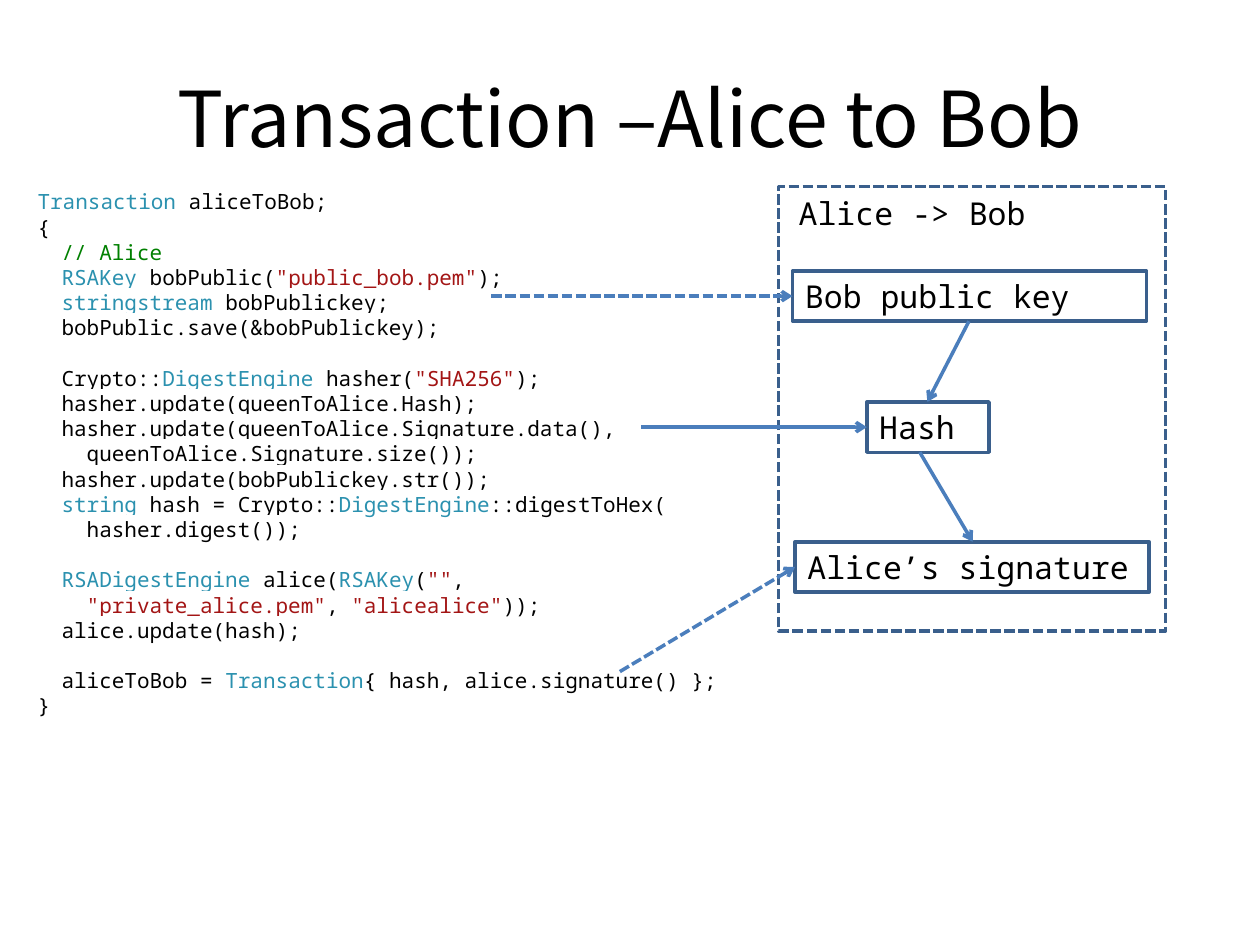
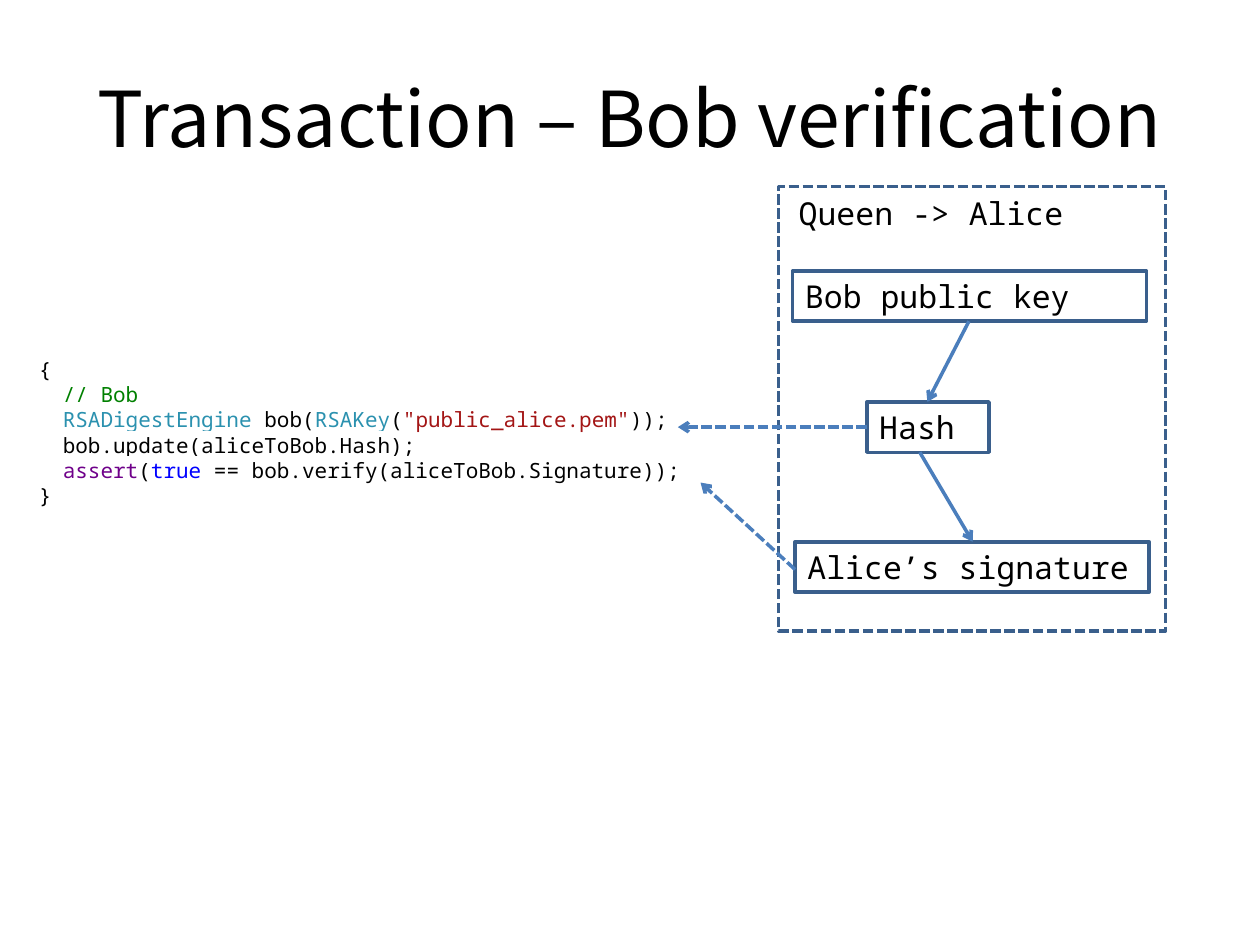
from dataclasses import dataclass

from lxml import etree
from pptx import Presentation
from pptx.dml.color import RGBColor
from pptx.enum.dml import MSO_LINE
from pptx.enum.shapes import MSO_CONNECTOR, MSO_SHAPE
from pptx.enum.text import MSO_ANCHOR, MSO_AUTO_SIZE, PP_ALIGN
from pptx.oxml.ns import qn
from pptx.shapes.base import BaseShape
from pptx.slide import Slide
from pptx.util import Inches, Pt

RECTANGLE = MSO_SHAPE.RECTANGLE
STRAIGHT = MSO_CONNECTOR.STRAIGHT
DASHED = MSO_LINE.SQUARE_DOT
GROW = MSO_AUTO_SIZE.SHAPE_TO_FIT_TEXT
MIDDLE = MSO_ANCHOR.MIDDLE
TOP = MSO_ANCHOR.TOP
CENTER = PP_ALIGN.CENTER
LEFT = PP_ALIGN.LEFT


@dataclass(frozen=True)
class Theme:
    text: str = "000000"
    type_name: str = "2B91AF"
    literal: str = "A31515"
    comment: str = "008000"
    macro: str = "6F008A"
    keyword: str = "0000FF"
    highlight: str = "FFFFFF"
    box_line: str = "3A5F8C"
    arrow: str = "4B7EBC"
    title_font: str = "Noto Sans CJK KR"
    code_font: str = "Noto Sans Mono"
    title_size: float = 44
    label_size: float = 18
    code_size: float = 12
    code_line: float = 14.4
    line_width: float = 2
    indents: tuple[float, ...] = (0, 0.19, 0.39)


THEME = Theme()


@dataclass(frozen=True)
class Token:
    text: str
    color: str = THEME.text


@dataclass(frozen=True)
class CodeLine:
    level: int
    tokens: tuple[Token, ...]
    gap_before: bool = False


@dataclass(frozen=True)
class Box:
    left: float
    top: float
    width: float
    height: float


@dataclass(frozen=True)
class Node:
    box: Box
    label: str


@dataclass(frozen=True)
class Arrow:
    start: tuple[float, float]
    end: tuple[float, float]
    dashed: bool = False


@dataclass(frozen=True)
class Page:
    title: str
    block_label: str
    code_box: Box
    code: tuple[CodeLine, ...]
    arrows: tuple[Arrow, ...]


def plain(text: str) -> Token:
    return Token(text)


def type_name(text: str) -> Token:
    return Token(text, THEME.type_name)


def literal(text: str) -> Token:
    return Token(text, THEME.literal)


def line(level: int, *tokens: Token, gap: bool = False) -> CodeLine:
    return CodeLine(level, tokens, gap)


def place(box: Box) -> tuple[Inches, Inches, Inches, Inches]:
    return Inches(box.left), Inches(box.top), Inches(box.width), Inches(box.height)


def add_run(paragraph, token: Token, font: str, size: float, highlight: str = "") -> None:
    run = paragraph.add_run()
    run.text = token.text
    run.font.size = Pt(size)
    run.font.color.rgb = RGBColor.from_string(token.color)
    run.font.name = font
    properties = run.font._element if hasattr(run.font, "_element") else run._r.get_or_add_rPr()
    latin = properties.find(qn("a:latin"))
    east_asian = etree.Element(qn("a:ea"), typeface=font)
    latin.addnext(east_asian)
    if highlight:
        marker = etree.Element(qn("a:highlight"))
        etree.SubElement(marker, qn("a:srgbClr"), val=highlight)
        latin.addprevious(marker)


def write_label(shape: BaseShape, text: str) -> None:
    frame = shape.text_frame
    frame.word_wrap = True
    frame.auto_size = GROW
    frame.vertical_anchor = TOP
    paragraph = frame.paragraphs[0]
    paragraph.alignment = LEFT
    add_run(paragraph, plain(text), THEME.code_font, THEME.label_size)


def add_title(slide: Slide, text: str) -> None:
    frame = slide.shapes.add_textbox(*place(TITLE_BOX)).text_frame
    frame.word_wrap = True
    frame.vertical_anchor = MIDDLE
    paragraph = frame.paragraphs[0]
    paragraph.alignment = CENTER
    add_run(paragraph, plain(text), THEME.title_font, THEME.title_size)


def add_code(slide: Slide, box: Box, code: tuple[CodeLine, ...]) -> None:
    frame = slide.shapes.add_textbox(*place(box)).text_frame
    frame.word_wrap = True
    frame.auto_size = GROW
    for index, code_line in enumerate(code):
        paragraph = frame.add_paragraph() if index else frame.paragraphs[0]
        properties = paragraph._p.get_or_add_pPr()
        properties.set("marL", str(Inches(THEME.indents[code_line.level])))
        properties.set("indent", "0")
        if code_line.gap_before:
            paragraph.space_before = Pt(THEME.code_line)
        for token in code_line.tokens:
            add_run(paragraph, token, THEME.code_font, THEME.code_size, THEME.highlight)


def add_outline(slide: Slide, box: Box, dashed: bool = False) -> BaseShape:
    shape = slide.shapes.add_shape(RECTANGLE, *place(box))
    shape.shadow.inherit = False
    shape.fill.background()
    shape.line.color.rgb = RGBColor.from_string(THEME.box_line)
    shape.line.width = Pt(THEME.line_width)
    if dashed:
        shape.line.dash_style = DASHED
    return shape


def add_arrow(slide: Slide, arrow: Arrow) -> None:
    points = [Inches(value) for value in (*arrow.start, *arrow.end)]
    connector = slide.shapes.add_connector(STRAIGHT, *points)
    connector.line.color.rgb = RGBColor.from_string(THEME.arrow)
    connector.line.width = Pt(THEME.line_width)
    if arrow.dashed:
        connector.line.dash_style = DASHED
    etree.SubElement(connector.line._get_or_add_ln(), qn("a:tailEnd"), type="arrow")
    etree.SubElement(connector._element.spPr, qn("a:effectLst"))


def add_block(slide: Slide, label: str) -> None:
    add_outline(slide, BLOCK_BOX, dashed=True)
    write_label(slide.shapes.add_textbox(*place(BLOCK_LABEL_BOX)), label)
    for node in NODES:
        write_label(add_outline(slide, node.box), node.label)
    for arrow in BLOCK_ARROWS:
        add_arrow(slide, arrow)


def add_page(presentation, page: Page) -> None:
    slide = presentation.slides.add_slide(presentation.slide_layouts[6])
    add_code(slide, page.code_box, page.code)
    add_title(slide, page.title)
    add_block(slide, page.block_label)
    for arrow in page.arrows:
        add_arrow(slide, arrow)


TITLE_BOX = Box(0.5, 0.3, 9, 1.25)
BLOCK_BOX = Box(6.18, 1.48, 3.07, 3.53)
BLOCK_LABEL_BOX = Box(6.24, 1.49, 2.65, 0.4)
NODES = (
    Node(Box(6.29, 2.15, 2.81, 0.4), "Bob public key"),
    Node(Box(6.88, 3.19, 0.97, 0.4), "Hash"),
    Node(Box(6.31, 4.3, 2.81, 0.4), "Alice’s signature"),
)
BLOCK_ARROWS = (
    Arrow((7.69, 2.55), (7.36, 3.19)),
    Arrow((7.3, 3.59), (7.72, 4.3)),
)

SIGNING_CODE = (
    line(0, type_name("Transaction"), plain(" aliceToBob;")),
    line(0, plain("{")),
    line(1, Token("// Alice", THEME.comment)),
    line(1, type_name("RSAKey"), plain(" bobPublic("), literal('"public_bob.pem"'), plain(");")),
    line(1, type_name("stringstream"), plain(" bobPublickey;")),
    line(1, plain("bobPublic.save(&bobPublickey);")),
    line(1, plain("Crypto::"), type_name("DigestEngine"), plain(" hasher("),
         literal('"SHA256"'), plain(");"), gap=True),
    line(1, plain("hasher.update(queenToAlice.Hash);")),
    line(1, plain("hasher.update(queenToAlice.Signature.data(),")),
    line(2, plain("queenToAlice.Signature.size());")),
    line(1, plain("hasher.update(bobPublickey.str());")),
    line(1, type_name("string"), plain(" hash = Crypto::"), type_name("DigestEngine"),
         plain("::digestToHex(")),
    line(2, plain("hasher.digest());")),
    line(1, type_name("RSADigestEngine"), plain(" alice("), type_name("RSAKey"), plain("("),
         literal('""'), plain(","), gap=True),
    line(2, literal('"private_alice.pem"'), plain(", "), literal('"alicealice"'), plain("));")),
    line(1, plain("alice.update(hash);")),
    line(1, plain("aliceToBob = "), type_name("Transaction"),
         plain("{ hash, alice.signature() };"), gap=True),
    line(0, plain("}")),
)

VERIFYING_CODE = (
    line(0, plain("{")),
    line(1, Token("// Bob", THEME.comment)),
    line(1, type_name("RSADigestEngine"), plain(" bob("), type_name("RSAKey"), plain("("),
         literal('"public_alice.pem"'), plain("));")),
    line(1, plain("bob.update(aliceToBob.Hash);")),
    line(1, Token("assert", THEME.macro), plain("("), Token("true", THEME.keyword),
         plain(" == bob.verify(aliceToBob.Signature));")),
    line(0, plain("}")),
)

PAGES = (
    Page("Transaction –Alice to Bob", "Alice -> Bob", Box(0.2, 1.45, 7.16, 4.34), SIGNING_CODE, (
        Arrow((3.9, 2.35), (6.29, 2.35), dashed=True),
        Arrow((5.09, 3.39), (6.88, 3.39)),
        Arrow((4.92, 5.33), (6.31, 4.5), dashed=True),
    )),
    Page("Transaction – Bob verification", "Queen -> Alice", Box(0.21, 2.78, 7.16, 1.31),
         VERIFYING_CODE, (
        Arrow((6.88, 3.39), (5.38, 3.39), dashed=True),
        Arrow((6.31, 4.52), (5.56, 3.83), dashed=True),
    )),
)


def main() -> None:
    presentation = Presentation()
    presentation.slide_width = Inches(10)
    presentation.slide_height = Inches(7.5)
    for page in PAGES:
        add_page(presentation, page)
    presentation.save("out.pptx")


main()
